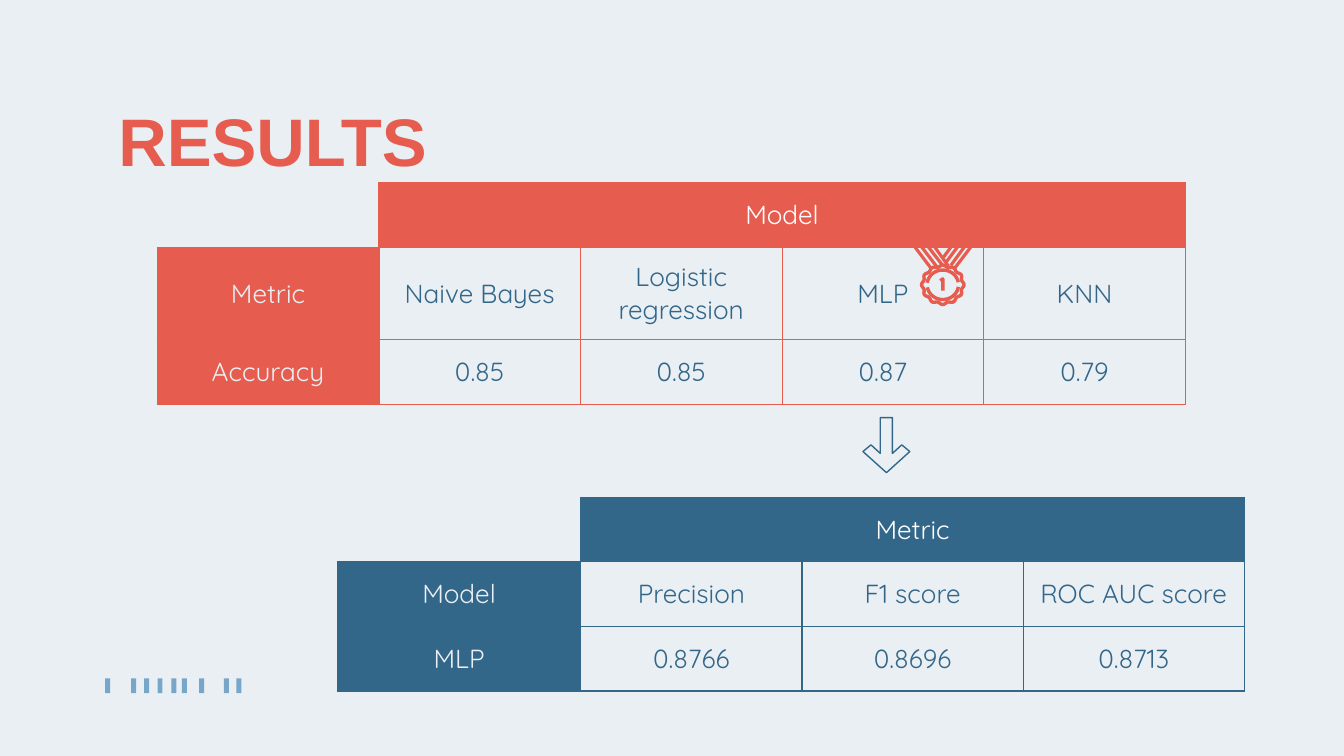
"""Build the model results slide with two metric tables and a medal."""
import math
from dataclasses import dataclass

import lxml.etree
import pptx
import pptx.dml.color
import pptx.enum.shapes
import pptx.enum.text
import pptx.oxml.ns
import pptx.util

Pt = pptx.util.Pt
RGBColor = pptx.dml.color.RGBColor
qn = pptx.oxml.ns.qn
CENTER = pptx.enum.text.PP_ALIGN.CENTER
MIDDLE = pptx.enum.text.MSO_ANCHOR.MIDDLE

PALE = RGBColor(0xEA, 0xEF, 0xF3)
WHITE = RGBColor(0xFF, 0xFF, 0xFF)
CORAL = RGBColor(0xE6, 0x5C, 0x4F)
NAVY = RGBColor(0x33, 0x67, 0x8A)
SKY = RGBColor(0x78, 0xA6, 0xC9)

TITLE_FONT = {"name": "Arial", "size": Pt(36), "bold": True}
CELL_FONT = {"name": "Quicksand", "size": Pt(14), "bold": False}
BAR_LEFTS = (56.3, 70.2, 77.2, 84.4, 91.8, 97.4, 106.7, 120, 126.6)
ARROW = ((487.4, 241.9), (483.1, 238.3), (478.1, 242.9), (478.1, 223.7), (471.6, 223.7),
         (471.6, 242.9), (466.6, 238.3), (462.3, 241.9), (474.9, 253.2))
MEDAL_X, MEDAL_Y = 505.1, 152.6
RIBBON_TOP = -24.1
LEFT_ENDS = ((-6.1, -8.6), (-3.2, -9.7), (-0.4, -10.8), (3, -10))
RIGHT_ENDS = ((6.1, -8.6), (4.3, -10.4), (1.8, -12.2), (0.4, -14.8))


@dataclass
class Grid:
    left: float
    top: float
    widths: tuple[float, ...]
    color: RGBColor
    heading: str
    rows: tuple[tuple[str, ...], ...]


GRIDS = (
    Grid(84.2, 97.9, (118.8, 108, 108, 108, 108), CORAL, "Model",
         (("Metric", "Naive Bayes", "Logistic regression", "MLP", "KNN"),
          ("Accuracy", "0.85", "0.85", "0.87", "0.79"))),
    Grid(180.7, 266.4, (130.5, 118.5, 118.5, 118.5), NAVY, "Metric",
         (("Model", "Precision", "F1 score", "ROC AUC score"),
          ("MLP", "0.8766", "0.8696", "0.8713"))),
)


def set_font(font, color: RGBColor, formats: dict) -> None:
    """Apply a format dict and a colour to a font."""
    for name, value in formats.items():
        setattr(font, name, value)
    font.color.rgb = color


def set_borders(cell, color: RGBColor | None) -> None:
    """Give a cell four thin borders, or hide them."""
    tc_pr = cell._tc.get_or_add_tcPr()
    for i, side in enumerate(("lnL", "lnR", "lnT", "lnB")):
        ln = lxml.etree.Element(qn(f"a:{side}"), w=str(Pt(0.75)))
        if color is None:
            lxml.etree.SubElement(ln, qn("a:noFill"))
        else:
            fill = lxml.etree.SubElement(ln, qn("a:solidFill"))
            lxml.etree.SubElement(fill, qn("a:srgbClr"), val=str(color))
        tc_pr.insert(i, ln)


def fill_cell(cell, text: str, fill: RGBColor, color: RGBColor, border: RGBColor) -> None:
    """Write one centred table cell."""
    cell.fill.solid()
    cell.fill.fore_color.rgb = fill
    cell.vertical_anchor = MIDDLE
    for side in ("left", "right", "top", "bottom"):
        setattr(cell, f"margin_{side}", Pt(7.2))
    p = cell.text_frame.paragraphs[0]
    p.alignment = CENTER
    set_font(p.font, color, CELL_FONT)
    if text:
        r = p.add_run()
        r.text = text
        set_font(r.font, color, CELL_FONT)
    set_borders(cell, border)


def draw_grid(s, g: Grid) -> None:
    """Draw a table with an open corner and a merged heading."""
    n = len(g.widths)
    height = 34.6
    t = s.shapes.add_table(3, n, Pt(g.left), Pt(g.top), Pt(sum(g.widths)), Pt(3 * height)).table
    t.first_row = t.horz_banding = False
    for column, width in zip(t.columns, g.widths):
        column.width = Pt(width)
    for row in t.rows:
        row.height = Pt(height)
    corner = t.cell(0, 0)
    corner.fill.background()
    set_borders(corner, None)
    for j in range(1, n):
        fill_cell(t.cell(0, j), g.heading if j == 1 else "", g.color, WHITE, g.color)
    t.cell(0, 1).merge(t.cell(0, n - 1))
    for i, values in enumerate(g.rows, 1):
        for j, value in enumerate(values):
            fill, color = (PALE, NAVY) if j else (g.color, PALE)
            fill_cell(t.cell(i, j), value, fill, color, g.color)


def draw_outline(s, points, color: RGBColor, width: float, close: bool) -> None:
    """Draw an unfilled line through points."""
    pts = [(Pt(x), Pt(y)) for x, y in points]
    builder = s.shapes.build_freeform(*pts[0], scale=1.0)
    builder.add_line_segments(pts[1:], close=close)
    sp = builder.convert_to_shape()
    sp.shadow.inherit = False
    sp.fill.background()
    sp.line.color.rgb = color
    sp.line.width = Pt(width)


def draw_line(s, start: tuple[float, float], end: tuple[float, float]) -> None:
    """Draw one ribbon line, relative to the medal centre."""
    ends = [Pt(v + o) for pt in (start, end) for v, o in zip(pt, (MEDAL_X, MEDAL_Y))]
    c = s.shapes.add_connector(pptx.enum.shapes.MSO_CONNECTOR.STRAIGHT, *ends)
    c.line.color.rgb = CORAL
    c.line.width = Pt(1.7)
    lxml.etree.SubElement(c._element.spPr, qn("a:effectLst"))


def ellipse(rx: float, ry: float, start: int, stop: int, wave: float = 0):
    """Return points on an ellipse, with an optional scalloped edge."""
    points = []
    for degree in range(start, stop, 3):
        a = math.radians(degree)
        bump = wave * math.cos(12 * a)
        points.append((MEDAL_X + (rx + bump) * math.cos(a), MEDAL_Y + (ry + bump) * math.sin(a)))
    return points


def draw_medal(s) -> None:
    """Draw the first place medal."""
    for sign, ends in ((-1, LEFT_ENDS), (1, RIGHT_ENDS)):
        tops = [(sign * (17.9 - 3.6 * i), RIBBON_TOP) for i in range(len(ends))]
        draw_line(s, tops[0], tops[-1])
        for top, end in zip(tops, ends):
            draw_line(s, top, end)
    draw_outline(s, ellipse(10.9, 10.1, 0, 360, 0.5), CORAL, 1.8, True)
    for start in (8, 188):
        draw_outline(s, ellipse(8.4, 7.9, start, start + 165), CORAL, 1.8, False)
    one = [(MEDAL_X + x, MEDAL_Y + y) for x, y in ((-1.4, -2.2), (0, -3.2), (0, 3.2))]
    draw_outline(s, one, CORAL, 1.8, False)


def draw_bars(s) -> None:
    """Draw the row of small decorative bars."""
    for left in BAR_LEFTS:
        sp = s.shapes.add_shape(pptx.enum.shapes.MSO_SHAPE.RECTANGLE,
                                Pt(left), Pt(363.4), Pt(2.7), Pt(8))
        sp.shadow.inherit = False
        sp.fill.solid()
        sp.fill.fore_color.rgb = SKY
        sp.line.fill.background()


def draw_title(s, text: str) -> None:
    """Place and format the slide title."""
    sp = s.shapes.title
    sp.left, sp.top, sp.width, sp.height = Pt(56.2), Pt(42.5), Pt(611.3), Pt(48.2)
    tf = sp.text_frame
    formats = {"auto_size": pptx.enum.text.MSO_AUTO_SIZE.NONE, "word_wrap": True,
               "vertical_anchor": pptx.enum.text.MSO_ANCHOR.TOP, "margin_left": Pt(7.2),
               "margin_right": Pt(7.2), "margin_top": Pt(10.6), "margin_bottom": Pt(0)}
    for name, value in formats.items():
        setattr(tf, name, value)
    p = tf.paragraphs[0]
    p.alignment = pptx.enum.text.PP_ALIGN.LEFT
    r = p.add_run()
    r.text = text
    set_font(r.font, CORAL, TITLE_FONT)


def main() -> None:
    """Assemble and save the slide."""
    prs = pptx.Presentation()
    prs.slide_width, prs.slide_height = Pt(720), Pt(405)
    s = prs.slides.add_slide(prs.slide_layouts[5])
    s.background.fill.solid()
    s.background.fill.fore_color.rgb = PALE
    draw_bars(s)
    draw_title(s, "RESULTS")
    for g in GRIDS:
        draw_grid(s, g)
    draw_medal(s)
    draw_outline(s, ARROW, NAVY, 0.75, True)
    prs.save("out.pptx")


if __name__ == "__main__":
    main()
